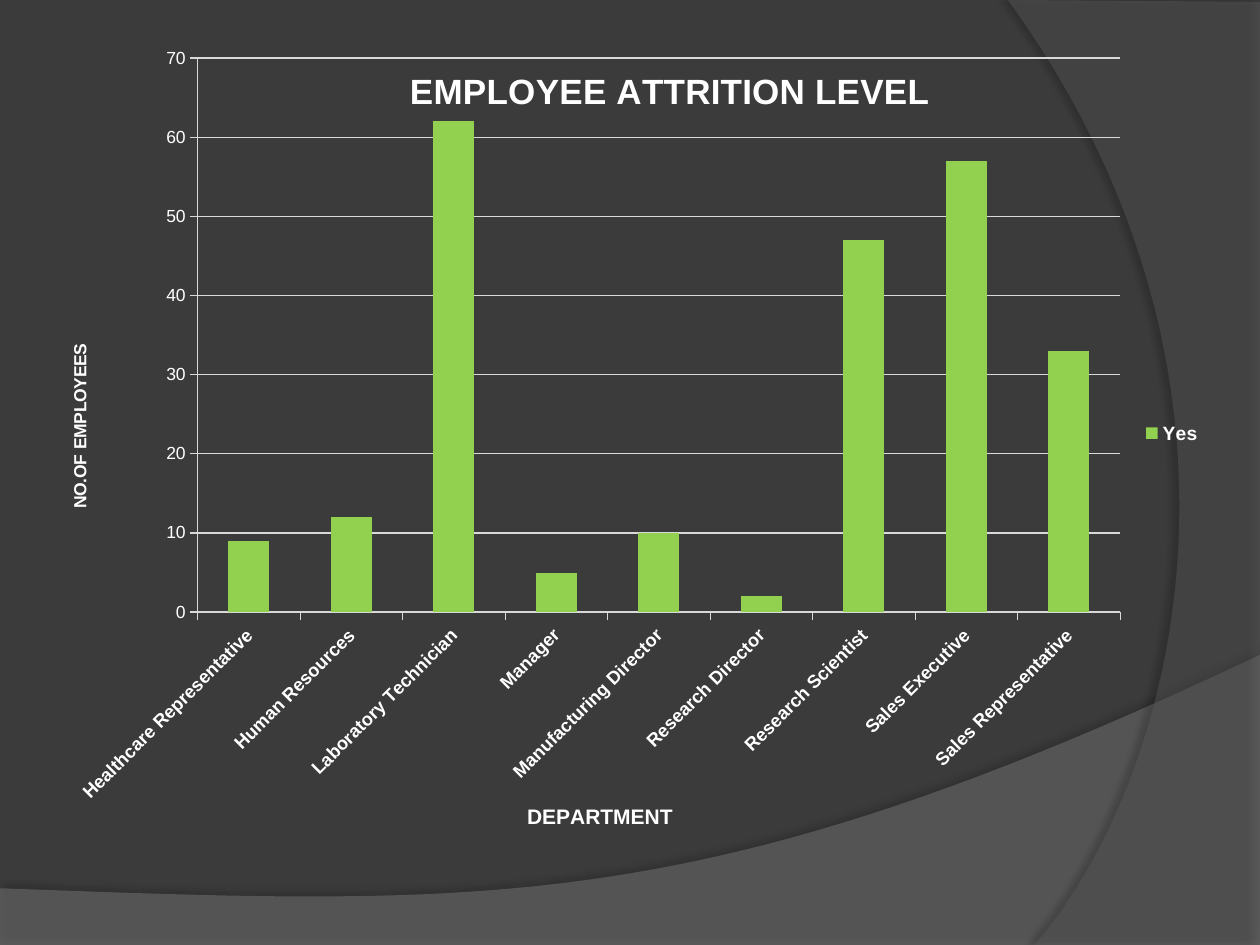
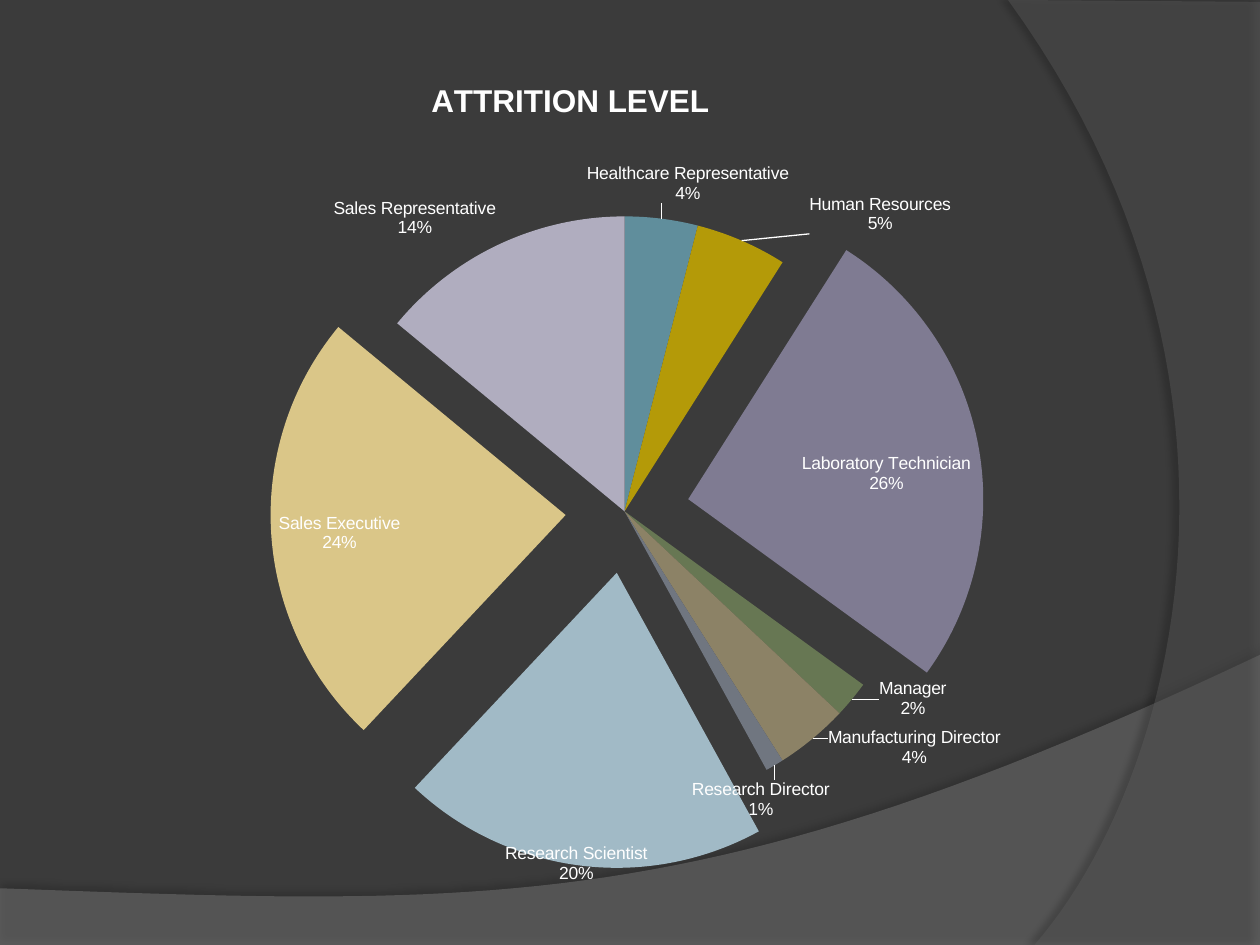
from dataclasses import dataclass

from lxml.etree import Element, SubElement
from pptx import Presentation
from pptx.chart.data import CategoryChartData
from pptx.dml.color import RGBColor
from pptx.enum.chart import (XL_CHART_TYPE, XL_LABEL_POSITION, XL_LEGEND_POSITION,
                             XL_TICK_MARK)
from pptx.oxml.ns import qn
from pptx.util import Inches, Pt

WIDTH, HEIGHT = Inches(10), Inches(7.5)
BACKGROUND, TEXT, RULE, BAR = "3B3B3B", "FFFFFF", "D9D9D9", "92D050"
FONT = "Arial"
CURVE_STEPS = 48

Point = tuple[float, float]


@dataclass(frozen=True)
class Swoosh:
    """Straight edges followed by one Bezier curve, in percent of the slide."""
    edges: list[Point]
    curve: list[Point]
    color: str
    opacity: int
    shadow_opacity: int
    shadow_distance: float
    shadow_angle: int


@dataclass(frozen=True)
class Box:
    """Left, top, width and height in percent of the slide."""
    left: float
    top: float
    width: float
    height: float


@dataclass(frozen=True)
class Slice:
    """One department's slice; the label shift is a share of the chart."""
    percent: int
    color: str
    explosion: int = 0
    shift: Point | None = None


SWOOSHES = [
    Swoosh([(0, 94), (0, 100), (100, 100), (100, 69.3)],
           [(55.9, 97.2), (39.1, 95.9), (0, 94)], "7F7F7F", 45, 35, 3.5, 270),
    Swoosh([(100, 0.2), (100, 100), (82.1, 100)],
           [(93.5, 82.5), (101.8, 40), (80, 0)], "5E5E5E", 40, 45, 4, 180),
]

DEPARTMENTS = ["Healthcare Representative", "Human Resources", "Laboratory Technician",
               "Manager", "Manufacturing Director", "Research Director",
               "Research Scientist", "Sales Executive", "Sales Representative"]
LEAVERS = [9, 12, 62, 5, 10, 2, 47, 57, 33]
SLICES = [
    Slice(4, "608E9C", shift=(-0.07, -0.01)),
    Slice(5, "B49A08", shift=(0.06, 0)),
    Slice(26, "7F7B92", explosion=22, shift=(0, 0.01)),
    Slice(2, "677753", shift=(0.02, -0.03)),
    Slice(4, "8C8266", shift=(0.01, -0.02)),
    Slice(1, "707680", shift=(-0.08, 0.01)),
    Slice(20, "A1BAC6", explosion=21, shift=(-0.07, 0.03)),
    Slice(24, "DAC688", explosion=20),
    Slice(14, "B0ADBF"),
]


def rgb(value: str) -> RGBColor:
    return RGBColor.from_string(value)


def across(percent: float) -> int:
    return round(WIDTH * percent / 100)


def down(percent: float) -> int:
    return round(HEIGHT * percent / 100)


def style(font, size: float, bold: bool = False) -> None:
    font.name, font.size, font.bold = FONT, Pt(size), bold
    font.color.rgb = rgb(TEXT)


# Backdrop
def bezier(points: list[Point]) -> list[Point]:
    """Sample a cubic curve, leaving out its start."""
    samples = []
    for step in range(1, CURVE_STEPS + 1):
        t = step / CURVE_STEPS
        weights = ((1 - t) ** 3, 3 * t * (1 - t) ** 2, 3 * t * t * (1 - t), t ** 3)
        samples.append(tuple(sum(w * p[axis] for w, p in zip(weights, points))
                             for axis in (0, 1)))
    return samples


def add_swoosh(slide, swoosh: Swoosh) -> None:
    outline = swoosh.edges + bezier([swoosh.edges[-1], *swoosh.curve])
    corners = [(across(x), down(y)) for x, y in outline]
    builder = slide.shapes.build_freeform(*corners[0])
    builder.add_line_segments(corners[1:], close=True)
    shape = builder.convert_to_shape()
    shape.fill.solid()
    shape.fill.fore_color.rgb = rgb(swoosh.color)
    shape.line.fill.background()
    shape.shadow.inherit = False

    # Transparency and soft edge shadow
    properties = shape.element.spPr
    fill_color = properties.find(qn("a:solidFill"))[0]
    SubElement(fill_color, qn("a:alpha"), val=str(swoosh.opacity * 1000))
    shadow = SubElement(properties.find(qn("a:effectLst")), qn("a:outerShdw"),
                        blurRad=str(Pt(4)), dist=str(Pt(swoosh.shadow_distance)),
                        dir=str(swoosh.shadow_angle * 60000), rotWithShape="0")
    shadow_color = SubElement(shadow, qn("a:srgbClr"), val="000000")
    SubElement(shadow_color, qn("a:alpha"), val=str(swoosh.shadow_opacity * 1000))


def add_backdrop_slide(deck):
    slide = deck.slides.add_slide(deck.slide_layouts[6])
    for swoosh in SWOOSHES:
        add_swoosh(slide, swoosh)
    return slide


# Chart helpers
def set_layout(part, index: int, edge: bool = True, inner: bool = False,
               **shares: float) -> None:
    """Place a chart part by x, y, w and h as shares of the chart."""
    for old in part.findall(qn("c:layout")):
        part.remove(old)
    layout = Element(qn("c:layout"))
    part.insert(index, layout)
    manual = SubElement(layout, qn("c:manualLayout"))
    if inner:
        SubElement(manual, qn("c:layoutTarget"), val="inner")
    if edge:
        for mode in ("xMode", "yMode"):
            SubElement(manual, qn(f"c:{mode}"), val="edge")
    for name, share in shares.items():
        SubElement(manual, qn(f"c:{name}"), val=str(share))


def set_title(title, owner, text: str, size: float, x: float, y: float) -> None:
    title.text_frame.text = text
    style(title.text_frame.paragraphs[0].font, size, bold=True)
    set_layout(owner.find(qn("c:title")), 1, x=x, y=y)


def add_chart(slide, kind, box: Box, series_name: str, values: list[int]):
    data = CategoryChartData()
    data.categories = DEPARTMENTS
    data.add_series(series_name, values)
    chart = slide.shapes.add_chart(kind, across(box.left), down(box.top),
                                   across(box.width), down(box.height), data).chart
    style(chart.font, 10)
    return chart


def chart_body(chart):
    return chart.element.find(qn("c:chart"))


def plot_area(chart):
    return chart_body(chart).find(qn("c:plotArea"))


# Attrition by department, as columns
def build_column_slide(deck) -> None:
    chart = add_chart(add_backdrop_slide(deck), XL_CHART_TYPE.COLUMN_CLUSTERED,
                      Box(5.1, 2.8, 91.3, 86.1), "Yes", LEAVERS)
    set_title(chart.chart_title, chart_body(chart), "EMPLOYEE ATTRITION LEVEL",
              20, x=0.295, y=0.044)
    chart.chart_title.include_in_layout = True
    area = plot_area(chart)
    set_layout(area, 0, inner=True, x=0.116, y=0.039, w=0.802, h=0.681)

    plot = chart.plots[0]
    plot.gap_width = 150
    plot.vary_by_categories = False
    leavers = plot.series[0]
    leavers.format.fill.solid()
    leavers.format.fill.fore_color.rgb = rgb(BAR)

    departments, employees = chart.category_axis, chart.value_axis
    set_title(departments.axis_title, area.find(qn("c:catAx")),
              "DEPARTMENT", 12, x=0.399, y=0.95)
    set_title(employees.axis_title, area.find(qn("c:valAx")),
              "NO.OF EMPLOYEES", 10, x=0.001, y=0.386)
    employees.minimum_scale, employees.maximum_scale = 0, 70
    employees.major_unit = 10
    employees.has_major_gridlines = True
    for axis in (departments, employees):
        axis.major_tick_mark = XL_TICK_MARK.OUTSIDE
        axis.minor_tick_mark = XL_TICK_MARK.NONE
    for rule in (departments, employees, employees.major_gridlines):
        rule.format.line.color.rgb = rgb(RULE)
        rule.format.line.width = Pt(0.75)
    style(employees.tick_labels.font, 10)
    style(departments.tick_labels.font, 10.5, bold=True)
    label_body = area.find(f"{qn('c:catAx')}/{qn('c:txPr')}/{qn('a:bodyPr')}")
    label_body.set("rot", str(-45 * 60000))

    chart.has_legend = True
    chart.legend.position = XL_LEGEND_POSITION.RIGHT
    chart.legend.include_in_layout = False
    style(chart.legend.font, 11, bold=True)


# Share of attrition, as an exploded pie
def build_pie_slide(deck) -> None:
    chart = add_chart(add_backdrop_slide(deck), XL_CHART_TYPE.PIE,
                      Box(8.3, 4.8, 85.8, 89.2), "Series 1",
                      [part.percent for part in SLICES])
    set_title(chart.chart_title, chart_body(chart), "ATTRITION LEVEL",
              18, x=0.297, y=0.034)
    chart.has_legend = False
    set_layout(plot_area(chart), 0, inner=True, x=0.208, y=0.203, w=0.546, h=0.7)

    chart.plots[0].vary_by_categories = True
    shares = chart.plots[0].series[0]
    for index, part in enumerate(SLICES):
        point = shares.points[index]
        point.format.fill.solid()
        point.format.fill.fore_color.rgb = rgb(part.color)
        point.data_label.position = (XL_LABEL_POSITION.INSIDE_END if part.explosion
                                     else XL_LABEL_POSITION.OUTSIDE_END)

    # Slices pulled out from the centre
    for data_point in chart.element.iter(qn("c:dPt")):
        index = int(data_point.find(qn("c:idx")).get("val"))
        if SLICES[index].explosion:
            explosion = Element(qn("c:explosion"), val=str(SLICES[index].explosion))
            data_point.find(qn("c:spPr")).addprevious(explosion)

    # Labels: department above percentage, some moved aside
    for label in chart.element.iter(qn("c:dLbl")):
        shift = SLICES[int(label.find(qn("c:idx")).get("val"))].shift
        if shift:
            set_layout(label, 1, edge=False, x=shift[0], y=shift[1])
    for flag, shown in (("showVal", "0"), ("showCatName", "1"), ("showPercent", "1"),
                        ("showLeaderLines", "1")):
        for element in chart.element.iter(qn(f"c:{flag}")):
            element.set("val", shown)
    for last_flag in list(chart.element.iter(qn("c:showBubbleSize"))):
        separator = Element(qn("c:separator"))
        separator.text = "\n"
        last_flag.addnext(separator)

    # Leader lines in the text colour
    for switch in list(chart.element.iter(qn("c:showLeaderLines"))):
        leaders = Element(qn("c:leaderLines"))
        switch.addnext(leaders)
        line = SubElement(SubElement(leaders, qn("c:spPr")), qn("a:ln"), w=str(Pt(0.75)))
        SubElement(SubElement(line, qn("a:solidFill")), qn("a:srgbClr"), val=TEXT)


def main() -> None:
    deck = Presentation()
    deck.slide_width, deck.slide_height = WIDTH, HEIGHT
    backdrop = deck.slide_master.background.fill
    backdrop.solid()
    backdrop.fore_color.rgb = rgb(BACKGROUND)
    build_column_slide(deck)
    build_pie_slide(deck)
    deck.save("out.pptx")


if __name__ == "__main__":
    main()
